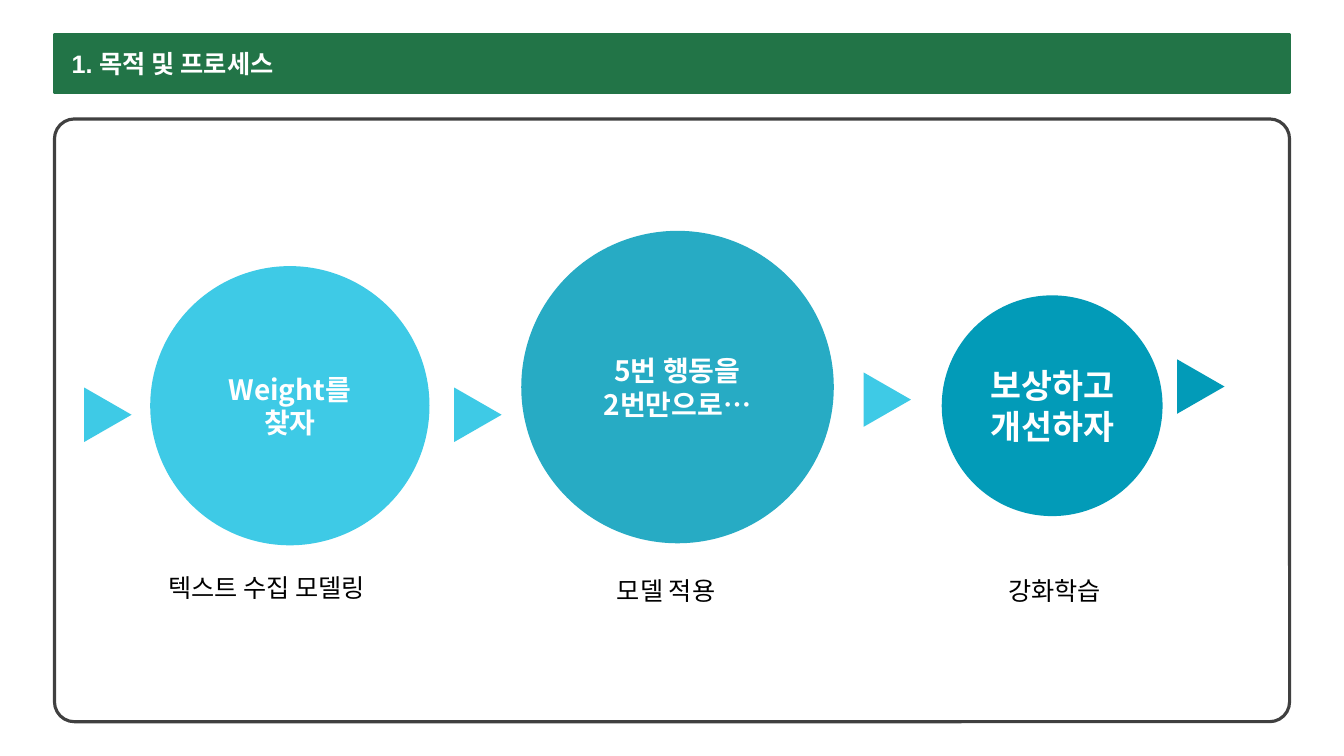
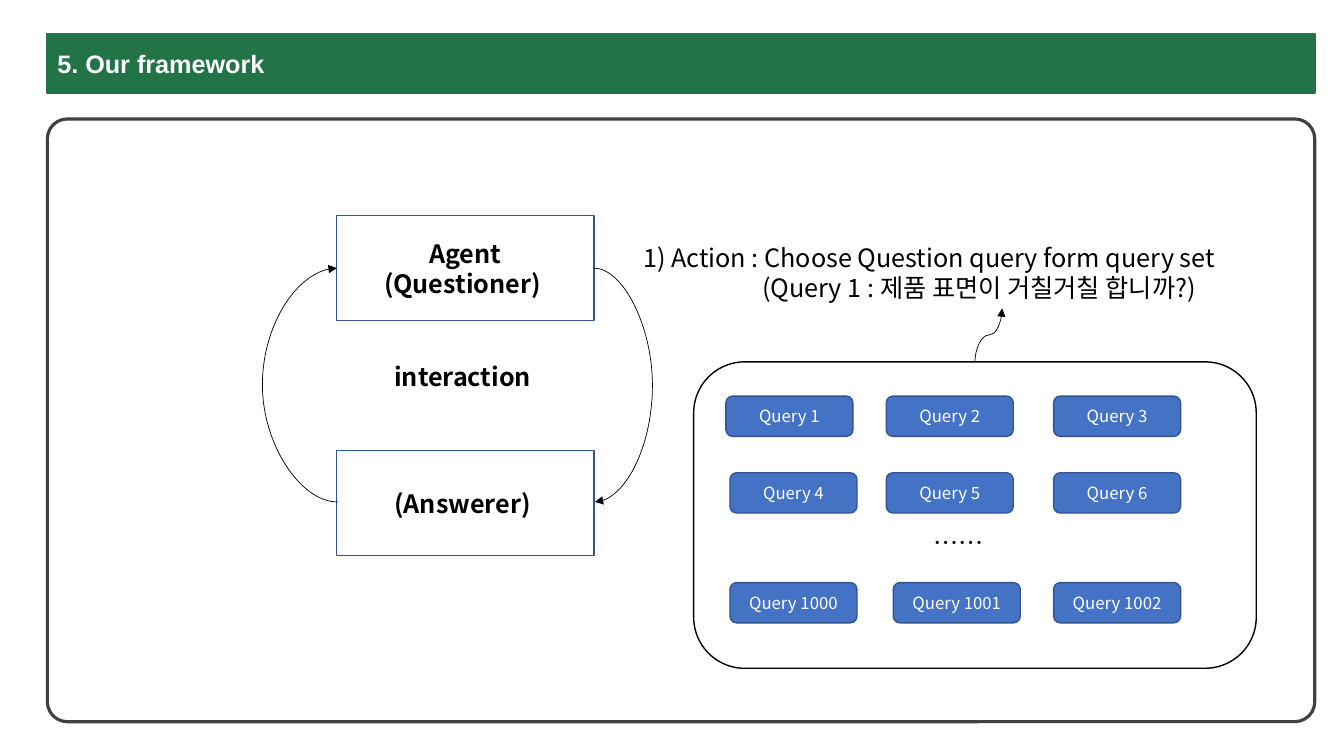
from collections import namedtuple
from dataclasses import dataclass

from lxml import etree
from pptx import Presentation
from pptx import util as u
from pptx.dml.color import RGBColor
from pptx.enum import shapes, text
from pptx.oxml import ns

Box = namedtuple("Box", "x y w h")
FORM = shapes.MSO_SHAPE


@dataclass(frozen=True)
class Theme:
    green: str = "227447"
    frame: str = "404040"
    sky: str = "3ECAE6"
    teal: str = "27ABC4"
    deep: str = "029BB8"
    blue: str = "4472C4"
    navy: str = "325491"
    black: str = "000000"
    white: str = "FFFFFF"
    latin: str = "Arial"
    korean: str = "Noto Sans CJK KR"
    small: int = 12
    body: int = 18
    large: int = 20
    huge: int = 24


THEME = Theme()


def px(value):
    return u.Emu(value * 9144)


def inside(outer, x, y, w, h):
    return Box(outer.x + x, outer.y + y, w, h)


def assign(target, values):
    for key, value in values.items():
        setattr(target, key, value)


def write(frame, lines, size=THEME.body, color=THEME.black, bold=False,
          name=THEME.korean, align=text.PP_ALIGN.LEFT, indents=(), **layout):
    assign(frame, {"word_wrap": True, **layout})
    for index, line in enumerate(lines):
        paragraph = frame.paragraphs[0] if index == 0 else frame.add_paragraph()
        paragraph.alignment = align
        if index < len(indents):
            paragraph._p.get_or_add_pPr().set("marL", str(px(indents[index])))
        run = paragraph.add_run()
        run.text = line
        assign(run.font, {"size": u.Pt(size), "bold": bold, "name": name})
        run.font.color.rgb = RGBColor.from_string(color)
        etree.SubElement(run._r.get_or_add_rPr(), ns.qn("a:ea"),
                         typeface=THEME.korean)


def draw(slide, form, box, fill=None, line=None, width=1, corner=None, rotation=0):
    shape = slide.shapes.add_shape(form, *map(px, box))
    shape.shadow.inherit = False
    shape.rotation = rotation
    if corner is not None:
        shape.adjustments[0] = corner
    for paint, color in ((shape.fill, fill), (shape.line.fill, line)):
        if color:
            paint.solid()
            paint.fore_color.rgb = RGBColor.from_string(color)
        else:
            paint.background()
    if line:
        shape.line.width = u.Pt(width)
    return shape


def centre(shape, lines, **style):
    write(shape.text_frame, lines, align=text.PP_ALIGN.CENTER,
          vertical_anchor=text.MSO_ANCHOR.MIDDLE, **style)


def caption(slide, box, lines, **style):
    frame = slide.shapes.add_textbox(*map(px, box)).text_frame
    write(frame, lines, auto_size=text.MSO_AUTO_SIZE.SHAPE_TO_FIT_TEXT, **style)


def curve(slide, box, bend=0.5, **turn):
    arrow = slide.shapes.add_connector(
        shapes.MSO_CONNECTOR.CURVE, px(box.x), px(box.y),
        px(box.x + box.w), px(box.y + box.h))
    arrow.line.width = u.Pt(0.5)
    arrow.line.color.rgb = RGBColor.from_string(THEME.black)
    properties = arrow._element.spPr
    for key, value in turn.items():
        properties.find(ns.qn("a:xfrm")).set(key, str(value))
    geometry = properties.find(ns.qn("a:prstGeom"))
    guides = geometry.find(ns.qn("a:avLst"))
    if guides is None:
        guides = etree.SubElement(geometry, ns.qn("a:avLst"))
    etree.SubElement(guides, ns.qn("a:gd"), name="adj1",
                     fmla=f"val {round(bend * 100000)}")
    etree.SubElement(arrow.line._get_or_add_ln(), ns.qn("a:tailEnd"), type="triangle")
    etree.SubElement(properties, ns.qn("a:effectLst"))


def titled_frame(deck, title, left, width, title_inset):
    slide = deck.slides.add_slide(deck.slide_layouts[6])
    band = draw(slide, FORM.RECTANGLE, Box(left, 34, width, 58),
                THEME.green, THEME.green, 1.5)
    write(band.text_frame, [title], color=THEME.white, bold=True, name=THEME.latin,
          vertical_anchor=text.MSO_ANCHOR.MIDDLE, margin_left=px(title_inset))
    frame = Box(left, 118, width, 598)
    draw(slide, FORM.ROUNDED_RECTANGLE, frame, line=THEME.frame, width=2.25,
         corner=0.033)
    return slide, frame


def process_steps(slide, box):
    steps = (
        (95, 146, 277, THEME.sky, ["Weight를 찾자"], THEME.large, {}),
        (463, 111, 310, THEME.teal, ["5번 행동을", "2번만으로…"], THEME.large,
         {"margin_left": 0, "margin_right": 0}),
        (880, 175, 219, THEME.deep, ["보상하고", "개선하자"], THEME.huge, {}),
    )
    for x, y, diameter, color, lines, size, margins in steps:
        circle = draw(slide, FORM.OVAL, inside(box, x, y, diameter, diameter), color)
        centre(circle, lines, size=size, color=THEME.white, bold=True, **margins)

    for x, y, color in ((26, 270, THEME.sky), (393, 270, THEME.sky),
                        (799, 255, THEME.sky), (1110, 242, THEME.deep)):
        draw(slide, FORM.ISOSCELES_TRIANGLE, inside(box, x, y, 54, 47), color,
             rotation=90)

    for x, y, width, label in ((103, 445, 240, "텍스트 수집 모델링"),
                               (548, 448, 130, "모델 적용"),
                               (936, 448, 121, "강화학습")):
        caption(slide, inside(box, x, y, width, 40), [label], word_wrap=False)


def dialogue_loop(slide, box):
    for y, lines in ((0, ["Agent", "(Questioner) "]), (233, ["(Answerer) "])):
        role = draw(slide, FORM.RECTANGLE, inside(box, 0, y, box.w, 104),
                    line=THEME.navy)
        centre(role, lines, bold=True)
    curve(slide, inside(box, box.w, 52, 1, 232), bend=59)
    curve(slide, inside(box, 0, 52, 1, 232), bend=76, rot=180 * 60000)
    caption(slide, inside(box, 41, 140, 525, 40), ["interaction"], bold=True,
            margin_left=px(16))


def query_set(slide, box):
    draw(slide, FORM.ROUNDED_RECTANGLE, box, THEME.white, THEME.black)
    rows = ((34, 1, (32, 191, 357)),
            (110, 4, (36, 191, 357)),
            (219, 1000, (36, 198, 357)))
    for y, first, columns in rows:
        for number, x in enumerate(columns, first):
            query = draw(slide, FORM.ROUNDED_RECTANGLE, inside(box, x, y, 126, 40),
                         THEME.blue, THEME.navy)
            centre(query, [f"Query {number}"], size=THEME.small, color=THEME.white)
    caption(slide, inside(box, 228, 159, 129, 40), ["……"])
    curve(slide, inside(box, 266, -40, 53, 27), rot=90 * 60000, flipH=1, flipV=1)


def chosen_action(slide, box):
    caption(slide, box, ["1) Action : Choose Question query form query set",
                         "(Query 1 : 제품 표면이 거칠거칠 합니까?)"], indents=(0, 118))


def main():
    deck = Presentation()
    assign(deck, {"slide_width": px(1333), "slide_height": px(750)})

    purpose, frame = titled_frame(deck, "1. 목적 및 프로세스", 54, 1225, 17)
    process_steps(purpose, frame)

    framework, frame = titled_frame(deck, "5. Our framework", 47, 1257, 10)
    dialogue_loop(framework, inside(frame, 287, 96, 255, 337))
    chosen_action(framework, inside(frame, 581, 117, 700, 71))
    query_set(framework, inside(frame, 641, 241, 558, 304))

    deck.save("out.pptx")


if __name__ == "__main__":
    main()
